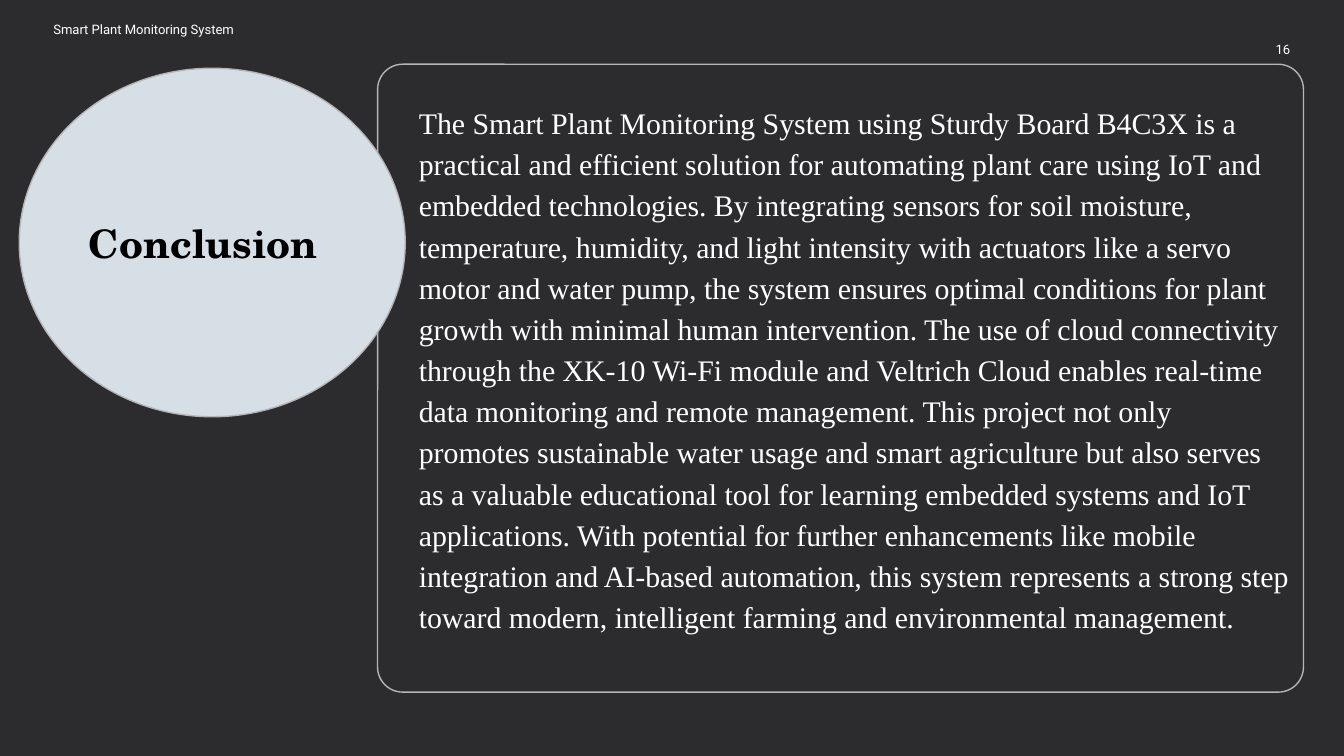
from pptx import Presentation
from pptx.dml.color import RGBColor
from pptx.enum.shapes import MSO_SHAPE as Shape
from pptx.enum.text import MSO_ANCHOR as Anchor, PP_ALIGN as Align
from pptx.util import Pt

HEADER = "Smart Plant Monitoring System"
NUMBER = "16"
TITLE = "Conclusion"
BODY = [
    "The Smart Plant Monitoring System using Sturdy Board B4C3X is a "
    "practical and efficient solution for automating plant care using IoT and "
    "embedded technologies.",
    "By integrating sensors for soil moisture, "
    "temperature, humidity, and light intensity with actuators like a servo "
    "motor and water pump, the system ensures optimal conditions for plant "
    "growth with minimal human intervention.",
    "The use of cloud connectivity "
    "through the XK-10 Wi-Fi module and Veltrich Cloud enables real-time "
    "data monitoring and remote management.",
    "This project not only "
    "promotes sustainable water usage and smart agriculture but also serves "
    "as a valuable educational tool for learning embedded systems and IoT "
    "applications.",
    "With potential for further enhancements like mobile "
    "integration and AI-based automation, this system represents a strong step "
    "toward modern, intelligent farming and environmental management.",
]
DARK, WHITE, BLACK = "2C2C2E", "FFFFFF", "000000"
PALE, GREY = "D6DEE6", "B5B5B7"


def color(code):
    return RGBColor.from_string(code)


def write(shape, text, size, face, ink, pad=(7.2, 7.2), anchor=Anchor.TOP,
          align=Align.LEFT, space=1.0, bold=False):
    """Fill a shape with one paragraph; pad is (sides, top and bottom)."""
    frame = shape.text_frame
    frame.word_wrap = True
    frame.vertical_anchor = anchor
    frame.margin_left = frame.margin_right = Pt(pad[0])
    frame.margin_top = frame.margin_bottom = Pt(pad[1])
    frame.text = text
    para = frame.paragraphs[0]
    para.alignment = align
    para.line_spacing = space
    font = para.runs[0].font
    font.name, font.size, font.bold = face, Pt(size), bold
    font.color.rgb = color(ink)


def outline(kind, box, fill=None):
    shape = slide.shapes.add_shape(kind, *map(Pt, box))
    shape.shadow.inherit = False
    if fill:
        shape.fill.solid()
        shape.fill.fore_color.rgb = color(fill)
    else:
        shape.fill.background()
    shape.line.color.rgb = color(GREY)
    shape.line.width = Pt(0.75)
    return shape


def label(box):
    return slide.shapes.add_textbox(*map(Pt, box))


deck = Presentation()
deck.slide_width, deck.slide_height = Pt(720), Pt(405)
slide = deck.slides.add_slide(deck.slide_layouts[6])
slide.background.fill.solid()
slide.background.fill.fore_color.rgb = color(DARK)

panel = outline(Shape.ROUNDED_RECTANGLE, (202.3, 34.4, 496, 336.4))
panel.adjustments[0] = 0.04

write(label((217.3, 46.1, 481, 277)), " ".join(BODY), 16, "Times New Roman",
      WHITE, space=1.15)
write(label((648, 17.3, 43.2, 18.7)), NUMBER, 7, "Roboto", WHITE,
      pad=(0, 7.2), anchor=Anchor.MIDDLE, align=Align.RIGHT)
write(label((28.6, 10.1, 327.6, 18.7)), HEADER, 7, "Roboto", WHITE,
      pad=(0, 0), space=1.15)

disc = outline(Shape.OVAL, (10.3, 36.6, 206.8, 186.7), PALE)
write(disc, TITLE, 21, "TeX Gyre Schola", BLACK, anchor=Anchor.MIDDLE,
      bold=True)

deck.save("out.pptx")
